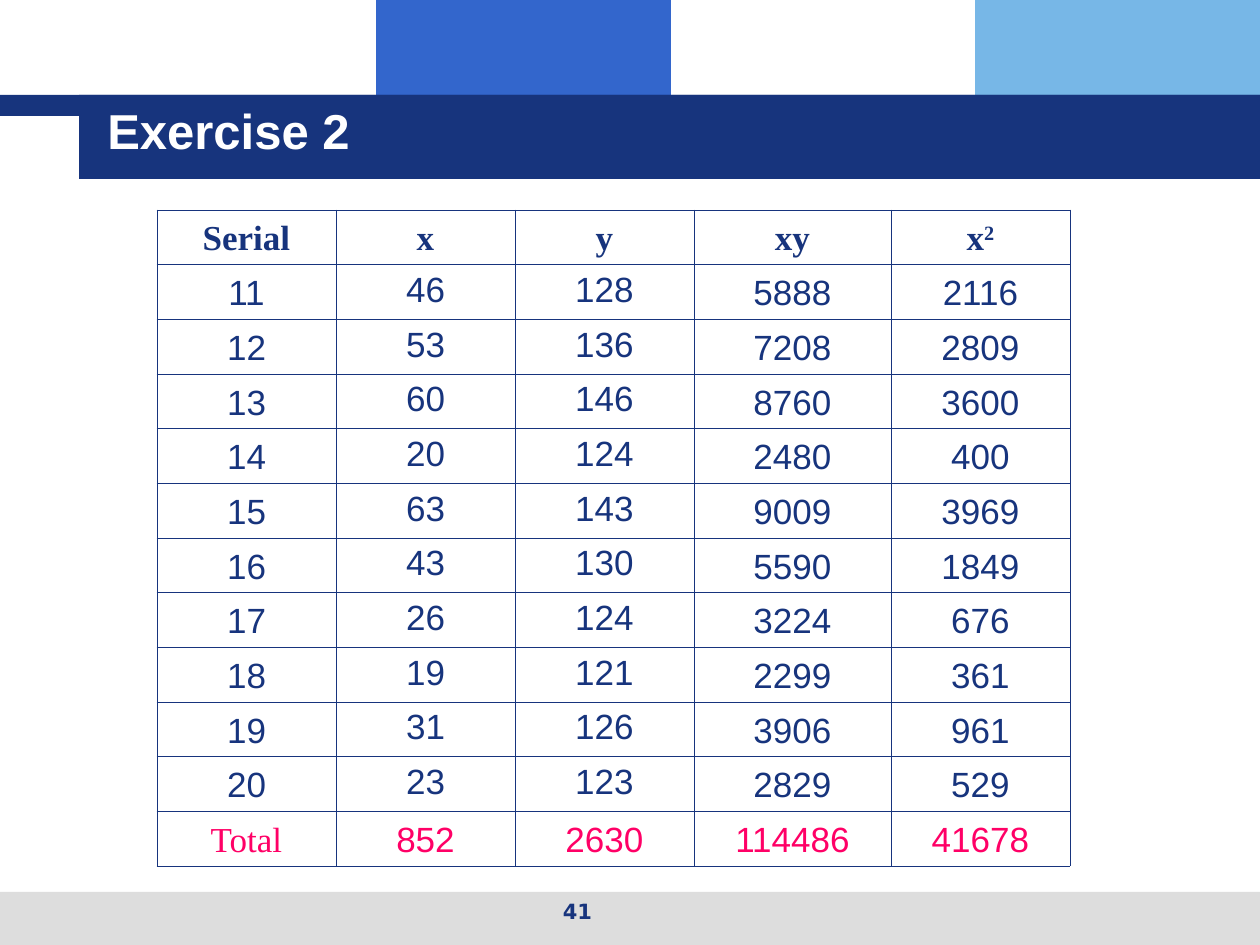
from dataclasses import dataclass

from lxml.etree import SubElement
from pptx import Presentation
from pptx.dml.color import RGBColor
from pptx.enum.shapes import MSO_SHAPE as Shape
from pptx.enum.text import MSO_ANCHOR as Anchor, PP_ALIGN as Align
from pptx.oxml.ns import qn
from pptx.util import Emu, Pt


@dataclass(frozen=True)
class Theme:
    navy: str = "17347D"
    blue: str = "3366CC"
    sky: str = "77B7E7"
    grey: str = "DDDDDD"
    white: str = "FFFFFF"
    pink: str = "FF0066"
    title_size: int = 28
    table_size: int = 20
    number_size: int = 12
    border_width: float = 0.45
    sans: str = "Arial"
    serif: str = "Times New Roman"
    footer_font: str = "DejaVu Sans"


@dataclass(frozen=True)
class Box:
    left: int
    top: int
    width: int
    height: int


@dataclass(frozen=True)
class Block:
    box: Box
    color: str


@dataclass(frozen=True)
class Label:
    text: str
    box: Box
    size: int
    font: str
    color: str
    align: Align


THEME = Theme()
PX_PER_INCH = 126

BLOCKS = [
    Block(Box(376, 0, 295, 116), THEME.blue),
    Block(Box(975, 0, 285, 116), THEME.sky),
    Block(Box(0, 892, 1260, 53), THEME.grey),
    Block(Box(0, 95, 1260, 21), THEME.navy),
    Block(Box(79, 95, 1181, 84), THEME.navy),
]
LABELS = [
    Label("Exercise 2", Box(95, 94, 1134, 77), THEME.title_size, THEME.sans,
          THEME.white, Align.LEFT),
    Label("41", Box(431, 892, 293, 44), THEME.number_size, THEME.footer_font,
          THEME.navy, Align.CENTER),
]

TABLE_BOX = Box(157, 210, 913, 656)
COLUMN_WIDTHS = [179, 179, 179, 197, 179]
HEADER = ["Serial", "x", "y", "xy", "x2"]
MEASUREMENTS = [
    (46, 128, 5888, 2116),
    (53, 136, 7208, 2809),
    (60, 146, 8760, 3600),
    (20, 124, 2480, 400),
    (63, 143, 9009, 3969),
    (43, 130, 5590, 1849),
    (26, 124, 3224, 676),
    (19, 121, 2299, 361),
    (31, 126, 3906, 961),
    (23, 123, 2829, 529),
]
TOTALS = ["Total", 852, 2630, 114486, 41678]
FIRST_SERIAL = 11
TOP_COLUMNS = (1, 2)


def px(value: int) -> Emu:
    return Emu(round(value * 914400 / PX_PER_INCH))


def place(box: Box) -> tuple:
    return px(box.left), px(box.top), px(box.width), px(box.height)


def style_run(run, size: int, font: str, color: str, bold: bool) -> None:
    run.font.size = Pt(size)
    run.font.name = font
    run.font.bold = bold
    run.font.color.rgb = RGBColor.from_string(color)


def draw_block(slide, block: Block) -> None:
    shape = slide.shapes.add_shape(Shape.RECTANGLE, *place(block.box))
    shape.shadow.inherit = False
    shape.fill.solid()
    shape.fill.fore_color.rgb = RGBColor.from_string(block.color)
    shape.line.fill.background()


def draw_label(slide, label: Label) -> None:
    text_frame = slide.shapes.add_textbox(*place(label.box)).text_frame
    text_frame.word_wrap = True
    text_frame.text = label.text
    paragraph = text_frame.paragraphs[0]
    paragraph.alignment = label.align
    style_run(paragraph.runs[0], label.size, label.font, label.color, True)


def add_borders(cell) -> None:
    properties = cell._tc.get_or_add_tcPr()
    for position, side in enumerate(("lnL", "lnR", "lnT", "lnB")):
        line = properties.makeelement(qn(f"a:{side}"), {"w": str(Pt(THEME.border_width))})
        fill = SubElement(line, qn("a:solidFill"))
        SubElement(fill, qn("a:srgbClr"), val=THEME.navy)
        properties.insert(position, line)


def fill_cell(cell, text: str, color: str, anchor: Anchor, header: bool) -> None:
    cell.fill.background()
    add_borders(cell)
    cell.vertical_anchor = anchor
    paragraph = cell.text_frame.paragraphs[0]
    # The square sign is a raised run of its own
    raised = header and text.endswith("2")
    paragraph.text = text[:-1] if raised else text
    if raised:
        paragraph.add_run().text = text[-1]
    paragraph.alignment = Align.CENTER
    paragraph._p.get_or_add_pPr().set("rtl", "1")
    for run in paragraph.runs:
        style_run(run, THEME.table_size, THEME.serif, color, header)
        # Digits in right-to-left paragraphs take the complex-script font
        SubElement(run._r.get_or_add_rPr(), qn("a:cs"),
                   typeface=THEME.serif if header else THEME.sans)
    if raised:
        paragraph.runs[-1]._r.get_or_add_rPr().set("baseline", "30000")


def draw_table(slide) -> None:
    body = [(FIRST_SERIAL + index, *values) for index, values in enumerate(MEASUREMENTS)]
    rows = [HEADER, *body, TOTALS]
    table = slide.shapes.add_table(len(rows), len(HEADER), *place(TABLE_BOX)).table
    table.first_row = table.horz_banding = False
    for column, width in zip(table.columns, COLUMN_WIDTHS):
        column.width = px(width)
    last = len(rows) - 1
    for row_index, values in enumerate(rows):
        table.rows[row_index].height = Emu(px(TABLE_BOX.height) // len(rows))
        color = THEME.pink if row_index == last else THEME.navy
        for column_index, value in enumerate(values):
            on_top = 0 < row_index < last and column_index in TOP_COLUMNS
            fill_cell(table.cell(row_index, column_index), str(value), color,
                      Anchor.TOP if on_top else Anchor.BOTTOM, row_index == 0)


def main() -> None:
    presentation = Presentation()
    presentation.slide_width, presentation.slide_height = px(1260), px(945)
    slide = presentation.slides.add_slide(presentation.slide_layouts[6])
    # Coloured bands
    for block in BLOCKS:
        draw_block(slide, block)
    # Table of values
    draw_table(slide)
    # Title and slide number
    for label in LABELS:
        draw_label(slide, label)
    presentation.save("out.pptx")


if __name__ == "__main__":
    main()
